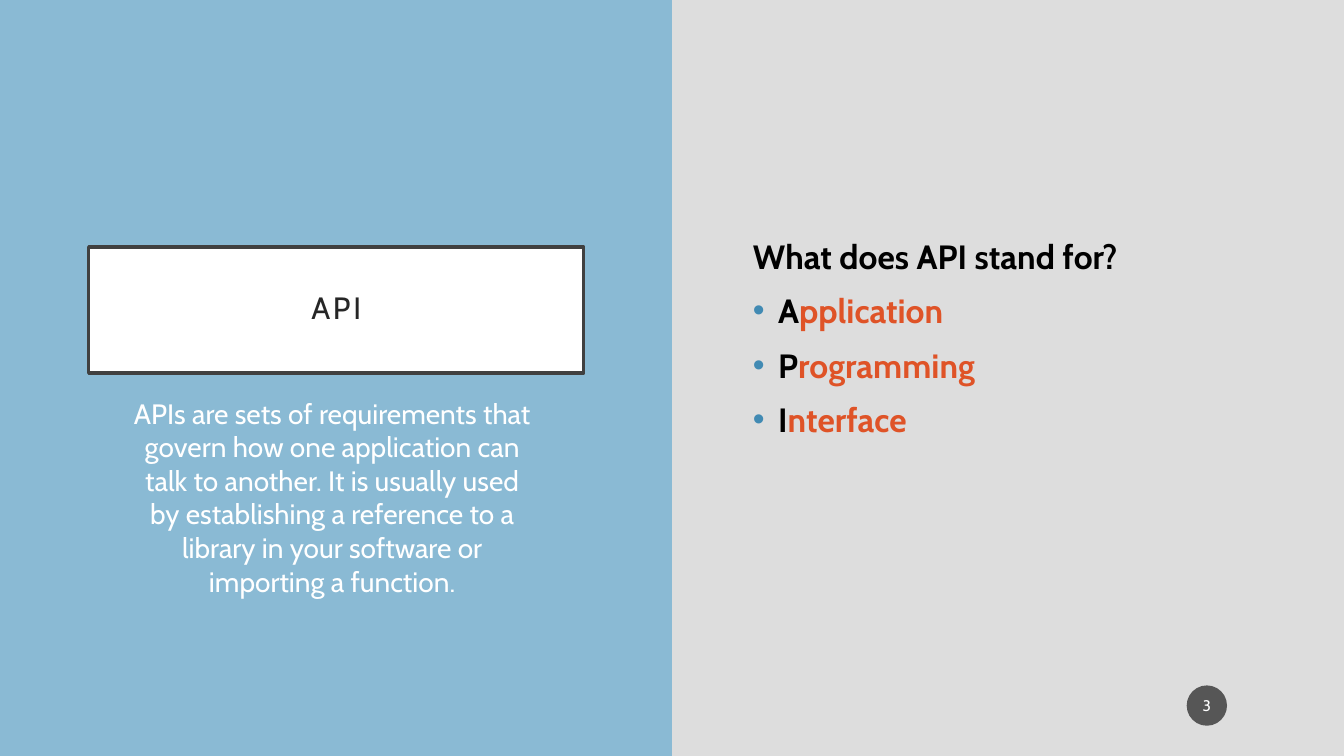
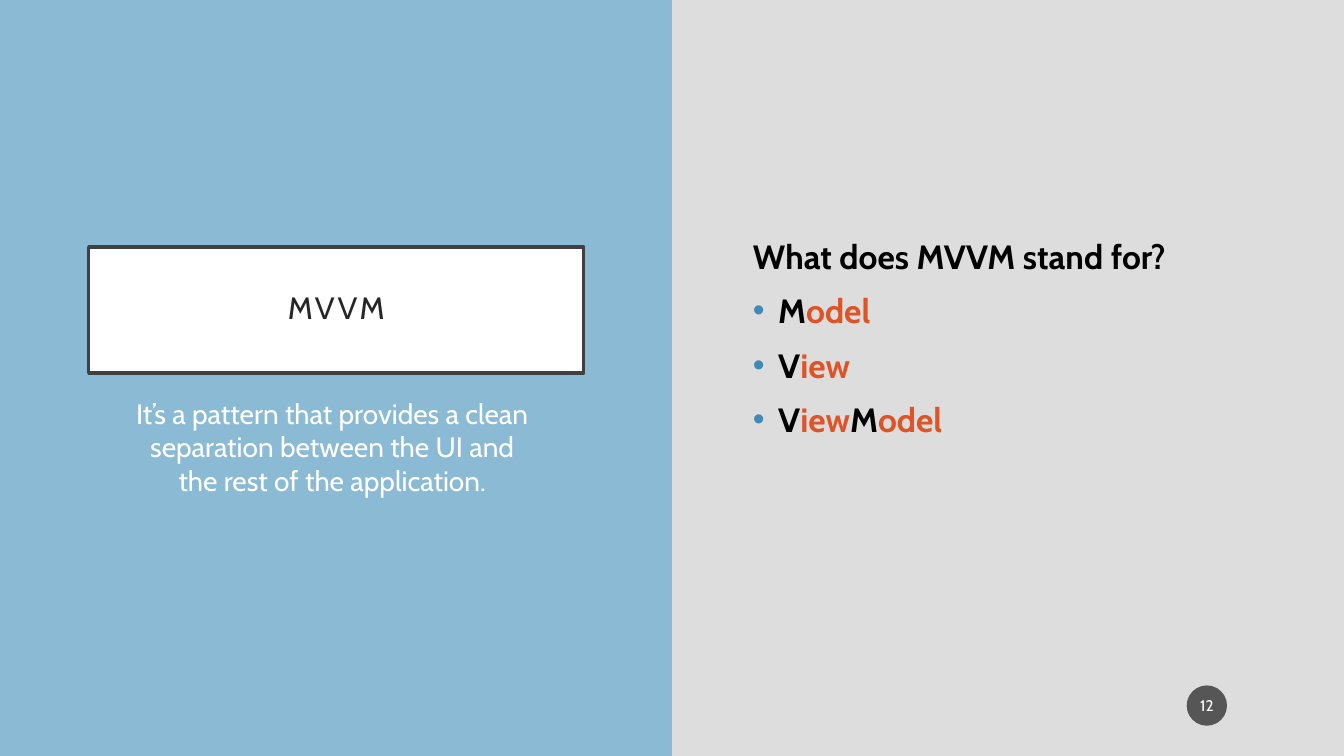
import itertools

import lxml.etree
import pptx
import pptx.dml.color
import pptx.enum.shapes
import pptx.enum.text
import pptx.oxml.ns
import pptx.util

Inches = pptx.util.Inches
Pt = pptx.util.Pt
SHAPE = pptx.enum.shapes.MSO_SHAPE
CENTER = pptx.enum.text.PP_ALIGN.CENTER
MIDDLE = pptx.enum.text.MSO_ANCHOR.MIDDLE


def colour(hex_value):
    return pptx.dml.color.RGBColor.from_string(hex_value)


def apply(target, values):
    for name, value in values.items():
        setattr(target, name, value)


def add_xml(parent, tag, **attributes):
    return lxml.etree.SubElement(parent, pptx.oxml.ns.qn(tag), attributes)


class AcronymDeck:
    FONT = "Cabin"
    WIDTH, HEIGHT = 13.33, 7.5
    BACKGROUND, PANEL, WHITE = "DDDDDD", "8ABAD4", "FFFFFF"
    FRAME, TITLE, BADGE = "404040", "262626", "1D1D1D"
    INITIAL, REST, BULLET = "000000", "DF5327", "418AB3"
    BODY_GAP = {"space_before": Pt(10)}

    def __init__(self):
        self.presentation = pptx.Presentation()
        apply(self.presentation, {"slide_width": Inches(self.WIDTH),
                                  "slide_height": Inches(self.HEIGHT)})
        self.slide = None

    def start_slide(self):
        self.slide = self.presentation.slides.add_slide(self.presentation.slide_layouts[6])
        backdrop = self.slide.background.fill
        backdrop.solid()
        backdrop.fore_color.rgb = colour(self.BACKGROUND)
        self.box(SHAPE.RECTANGLE, (0, 0, self.WIDTH / 2, self.HEIGHT), self.PANEL)

    def box(self, preset, place, fill, line=None):
        shape = self.slide.shapes.add_shape(preset, *map(Inches, place))
        shape.shadow.inherit = False
        shape.fill.solid()
        shape.fill.fore_color.rgb = colour(fill)
        if line:
            shape.line.color.rgb = colour(line)
            shape.line.width = Pt(2.5)
        else:
            shape.line.fill.background()
        return shape

    def text_frame(self, place):
        frame = self.slide.shapes.add_textbox(*map(Inches, place)).text_frame
        frame.word_wrap = True
        return frame

    def add_text(self, paragraph, text, size, ink, bold=False):
        run = paragraph.add_run()
        run.text = text
        apply(run.font, {"name": self.FONT, "size": Pt(size), "bold": bold})
        run.font.color.rgb = colour(ink)
        return run

    def title(self, text):
        frame = self.box(SHAPE.RECTANGLE, (0.88, 2.45, 4.91, 1.25), self.WHITE, self.FRAME).text_frame
        margins = {f"margin_{side}": Inches(0.2) for side in ("left", "top", "right", "bottom")}
        apply(frame, {"word_wrap": True, "vertical_anchor": MIDDLE, **margins})
        heading = frame.paragraphs[0]
        apply(heading, {"alignment": CENTER, "line_spacing": 0.9})
        run = self.add_text(heading, text, 22, self.TITLE)
        run.font._element.set("spc", "200")

    def description(self, text):
        paragraph = self.text_frame((1.22, 3.88, 4.15, 2.4)).paragraphs[0]
        apply(paragraph, {"alignment": CENTER, **self.BODY_GAP})
        self.add_text(paragraph, text, 20, self.WHITE)

    def expansion(self, acronym, words):
        frame = self.text_frame((7.37, 2.29, 5.27, 2.82))
        question = frame.paragraphs[0]
        apply(question, self.BODY_GAP)
        self.add_text(question, f"What does {acronym} stand for?", 24, self.INITIAL, True)
        for word in words:
            item = frame.add_paragraph()
            apply(item, self.BODY_GAP)
            self.bullet(item)
            for is_initial, letters in itertools.groupby(word, str.isupper):
                ink = self.INITIAL if is_initial else self.REST
                self.add_text(item, "".join(letters), 24, ink, True)

    def bullet(self, paragraph):
        properties = paragraph._p.get_or_add_pPr()
        indent = Inches(0.25)
        properties.set("marL", str(indent))
        properties.set("indent", str(-indent))
        add_xml(add_xml(properties, "a:buClr"), "a:srgbClr", val=self.BULLET)
        add_xml(properties, "a:buFont", typeface="Arial")
        add_xml(properties, "a:buChar", char="•")

    def page_number(self, number):
        badge = self.box(SHAPE.OVAL, (11.77, 6.8, 0.4, 0.4), self.BADGE)
        tint = badge._element.spPr.find(".//" + pptx.oxml.ns.qn("a:srgbClr"))
        add_xml(tint, "a:alpha", val="70000")
        frame = badge.text_frame
        apply(frame, {"vertical_anchor": MIDDLE, "margin_left": Inches(0.02),
                      "margin_right": Inches(0.02)})
        paragraph = frame.paragraphs[0]
        paragraph.alignment = CENTER
        self.add_text(paragraph, str(number), 11, self.WHITE)

    def acronym_slide(self, acronym, words, description, number):
        self.start_slide()
        self.title(acronym)
        self.expansion(acronym, words)
        self.description(description)
        self.page_number(number)


def main():
    deck = AcronymDeck()
    deck.acronym_slide(
        "API", ["Application", "Programming", "Interface"],
        "APIs are sets of requirements that govern how one application can talk to another. "
        "It is usually used by establishing a reference to a library in your software "
        "or importing a function.", 3)
    deck.acronym_slide(
        "MVVM", ["Model", "View", "ViewModel"],
        "It’s a pattern that provides a clean separation between the UI "
        "and the rest of the application.", 12)
    deck.presentation.save("out.pptx")


if __name__ == "__main__":
    main()
